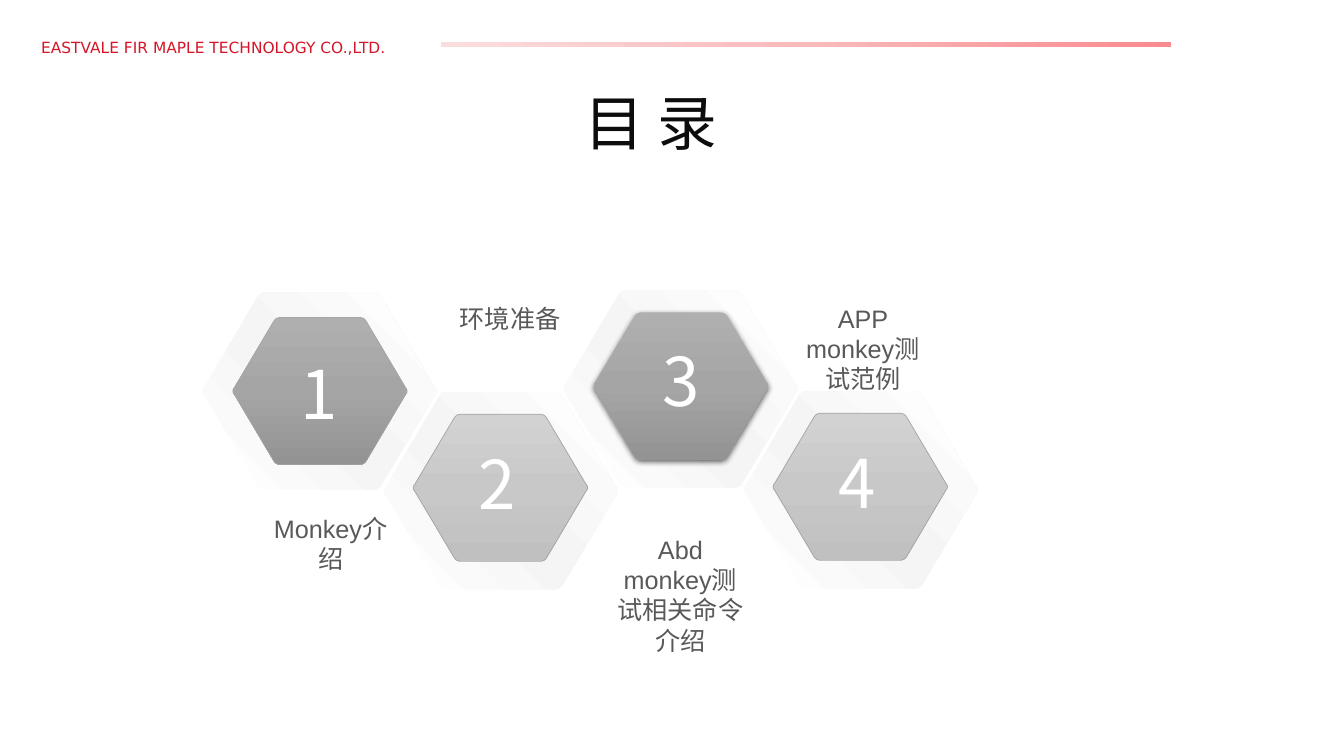
from collections import namedtuple
from pptx import Presentation
from pptx.dml.color import RGBColor
from pptx.enum.shapes import MSO_SHAPE as Preset
from pptx.enum.text import MSO_AUTO_SIZE as AutoSize, PP_ALIGN as Align
from pptx.oxml.ns import qn
from pptx.oxml.xmlchemy import OxmlElement as make_element
from pptx.util import Inches, Pt

CELL = Inches(0.1)
COLUMNS, ROWS = 133.33, 75
CJK_FONT = "Noto Sans CJK SC"
COLORS = {
    "brand": "D51528", "title": "0D0D0D", "label": "595959",
    "white": "FFFFFF", "edge": "A5A5A5", "shadow": "000000",
}
GRADIENTS = {
    "rule": ([(0, "F98B8E"), (50, "F9BABB"), (100, "FCDDDE")], 180),
    "rim": ([(0, "FFFFFF"), (47, "F5F5F5"), (100, "FFFFFF")], 315),
    "dark": ([(0, "AFAFAF"), (50, "A5A5A5"), (100, "939393")], 90),
    "light": ([(0, "D2D2D2"), (50, "C8C8C8"), (100, "C0C0C0")], 90),
}
TOP_CORNER = [(0.727, 0), (0.744, 0), (0.757, 0.01), (0.765, 0.025)]
SIDE_CORNER = [(0.99, 0.475), (1.003, 0.49), (1.003, 0.51), (0.99, 0.525)]

Box = namedtuple("Box", "left top width height")
Step = namedtuple("Step", "number label tone box core_at digit_at label_at raised")

STEPS = [
    Step("3", "Abd monkey测试相关命令介绍", "dark", Box(55.8, 28.7, 23.4, 19.8),
         (3.1, 2.3), (6.9, 4.5), (4.2, 23.8), True),
    Step("1", "Monkey介绍", "dark", Box(20, 28.9, 23.4, 19.8),
         (3.1, 2.6), (6.8, 5.6), (5.3, 21.5), False),
    Step("2", "环境准备", "light", Box(38, 38.8, 23.4, 19.8),
         (3, 2.3), (6.4, 4.6), (5.1, -9.2), False),
    Step("4", "APP monkey测试范例", "light", Box(73.7, 38.7, 23.4, 19.8),
         (3, 2.3), (6.4, 4.6), (4.4, -9.1), False),
]


def emu(cells):
    return round(cells * CELL)


def place(box):
    return [emu(length) for length in box]


def color(name):
    return RGBColor.from_string(COLORS[name])


def paint_gradient(shape, name):
    stops, angle = GRADIENTS[name]
    shape.fill.gradient()
    gradient = shape._element.spPr.find(qn("a:gradFill"))
    for child in list(gradient):
        gradient.remove(child)
    stop_list = make_element("a:gsLst")
    for position, value in stops:
        stop = make_element("a:gs")
        stop.set("pos", str(position * 1000))
        tint = make_element("a:srgbClr")
        tint.set("val", value)
        stop.append(tint)
        stop_list.append(stop)
    direction = make_element("a:lin")
    direction.set("ang", str(angle * 60000))
    direction.set("scaled", "0")
    gradient.extend([stop_list, direction])


def add_shadow(shape):
    shadow = make_element("a:outerShdw")
    settings = {"blurRad": Pt(4.5), "dist": Pt(1.5), "dir": 90 * 60000}
    for key, value in settings.items():
        shadow.set(key, str(value))
    shadow.set("algn", "ctr")
    shadow.set("rotWithShape", "0")
    tint = make_element("a:srgbClr")
    tint.set("val", COLORS["shadow"])
    alpha = make_element("a:alpha")
    alpha.set("val", "63000")
    tint.append(alpha)
    shadow.append(tint)
    shape._element.spPr.find(qn("a:effectLst")).append(shadow)


def add_text(shapes, box, text, size, font, tone, align=Align.LEFT):
    frame = shapes.add_textbox(*place(box)).text_frame
    frame.word_wrap = True
    frame.auto_size = AutoSize.SHAPE_TO_FIT_TEXT
    para = frame.paragraphs[0]
    para.alignment = align
    span = para.add_run()
    span.text = text
    span.font.size = Pt(size)
    span.font.name = font
    span.font.color.rgb = color(tone)
    east_asian = make_element("a:ea")
    east_asian.set("typeface", CJK_FONT)
    span.font._element.find(qn("a:latin")).addnext(east_asian)


def curve(corner, pieces=6):
    points = []
    for index in range(pieces + 1):
        t = index / pieces
        weights = [(1 - t) ** 3, 3 * t * (1 - t) ** 2, 3 * t * t * (1 - t), t ** 3]
        points.append(tuple(sum(weight * point[axis] for weight, point in zip(weights, corner))
                            for axis in (0, 1)))
    return points


def hexagon_outline():
    top = curve(TOP_CORNER)
    bottom = [(x, 1 - y) for x, y in reversed(top)]
    right = top + curve(SIDE_CORNER) + bottom
    return right + [(1 - x, 1 - y) for x, y in right]


def add_hexagon(shapes, box):
    points = [(emu(box.left + x * box.width), emu(box.top + y * box.height))
              for x, y in hexagon_outline()]
    builder = shapes.build_freeform(*points[0])
    builder.add_line_segments(points[1:], close=True)
    hexagon = builder.convert_to_shape()
    hexagon.shadow.inherit = False
    hexagon.line.fill.background()
    return hexagon


def add_header(page, box):
    add_text(page.shapes, Box(box.left, box.top, 66.7, box.height),
             "EASTVALE FIR MAPLE TECHNOLOGY CO.,LTD.", 11, "DejaVu Sans", "brand")
    rule_box = Box(box.left + 40.7, box.top + 0.9, box.width - 40.7, 0.5)
    rule = page.shapes.add_shape(Preset.RECTANGLE, *place(rule_box))
    rule.shadow.inherit = False
    rule.line.fill.background()
    paint_gradient(rule, "rule")


def add_title(page, box):
    add_text(page.shapes, box, "目 录", 42.7, CJK_FONT, "title")


def add_step(page, step):
    box = step.box
    shapes = page.shapes.add_group_shape().shapes
    base = add_hexagon(shapes, box)
    base.fill.solid()
    base.fill.fore_color.rgb = color("white")
    rim = add_hexagon(shapes, Box(box.left + 0.1, box.top + 0.1,
                                  box.width - 0.2, box.height - 0.2))
    paint_gradient(rim, "rim")
    core = add_hexagon(shapes, Box(box.left + step.core_at[0], box.top + step.core_at[1],
                                   17.3, 14.6))
    paint_gradient(core, step.tone)
    if step.raised:
        add_shadow(core)
    else:
        core.line.color.rgb = color("edge")
        core.line.width = Pt(0.5)
    add_text(shapes, Box(box.left + step.digit_at[0], box.top + step.digit_at[1], 9.8, 9.1),
             step.number, 48, CJK_FONT, "white", Align.CENTER)


def add_label(page, step):
    left, top = step.box.left + step.label_at[0], step.box.top + step.label_at[1]
    add_text(page.shapes, Box(left, top, 15, 7.1), step.label, 18, "Arial", "label",
             Align.CENTER)


def main():
    deck = Presentation()
    deck.slide_width, deck.slide_height = emu(COLUMNS), emu(ROWS)
    page = deck.slides.add_slide(deck.slide_layouts[6])
    add_header(page, Box(3.1, 3.3, 113.1, 2.9))
    add_title(page, Box(57, 8, 18, 8.2))
    for step in STEPS:
        add_step(page, step)
    for step in STEPS:
        add_label(page, step)
    deck.save("out.pptx")


if __name__ == "__main__":
    main()
